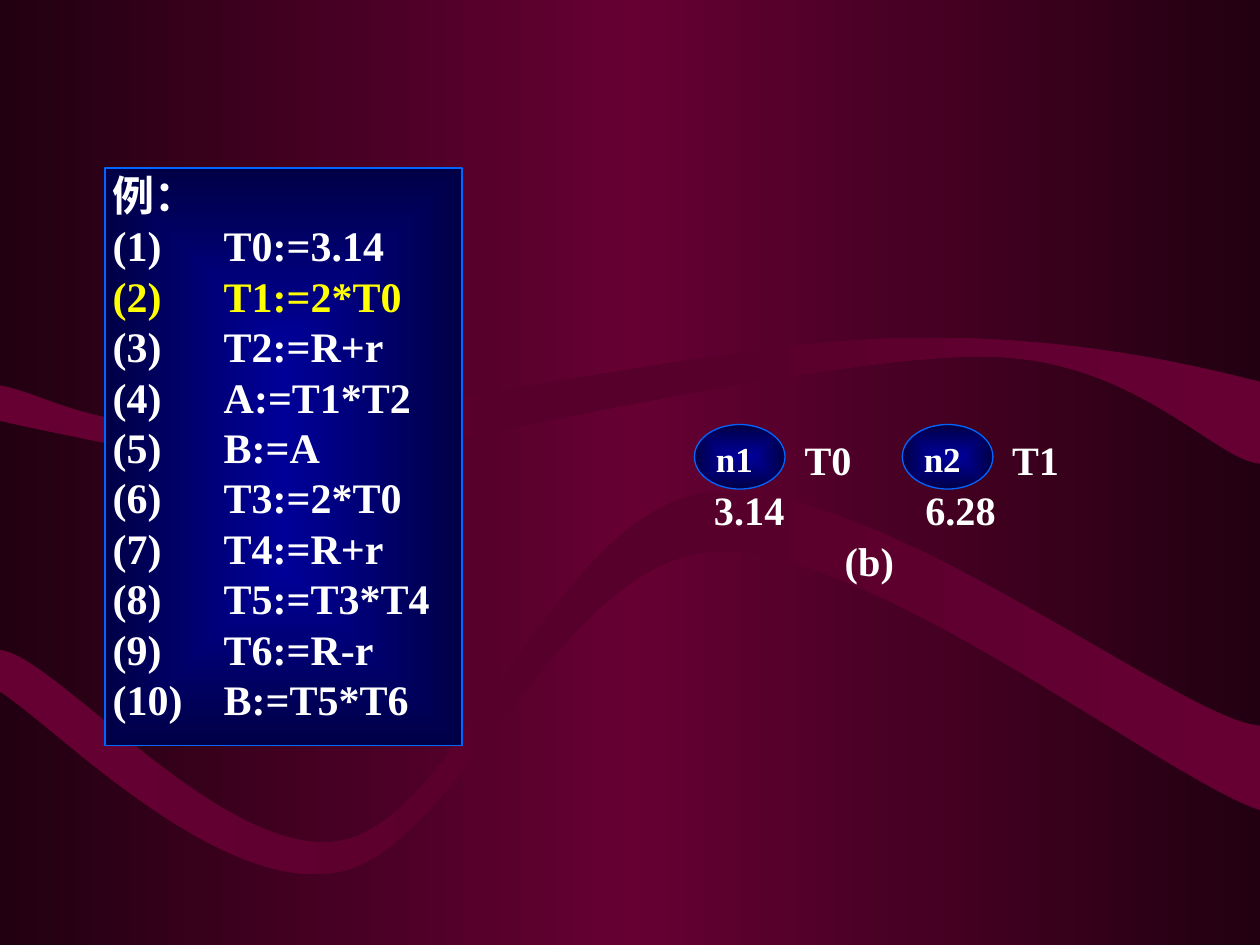
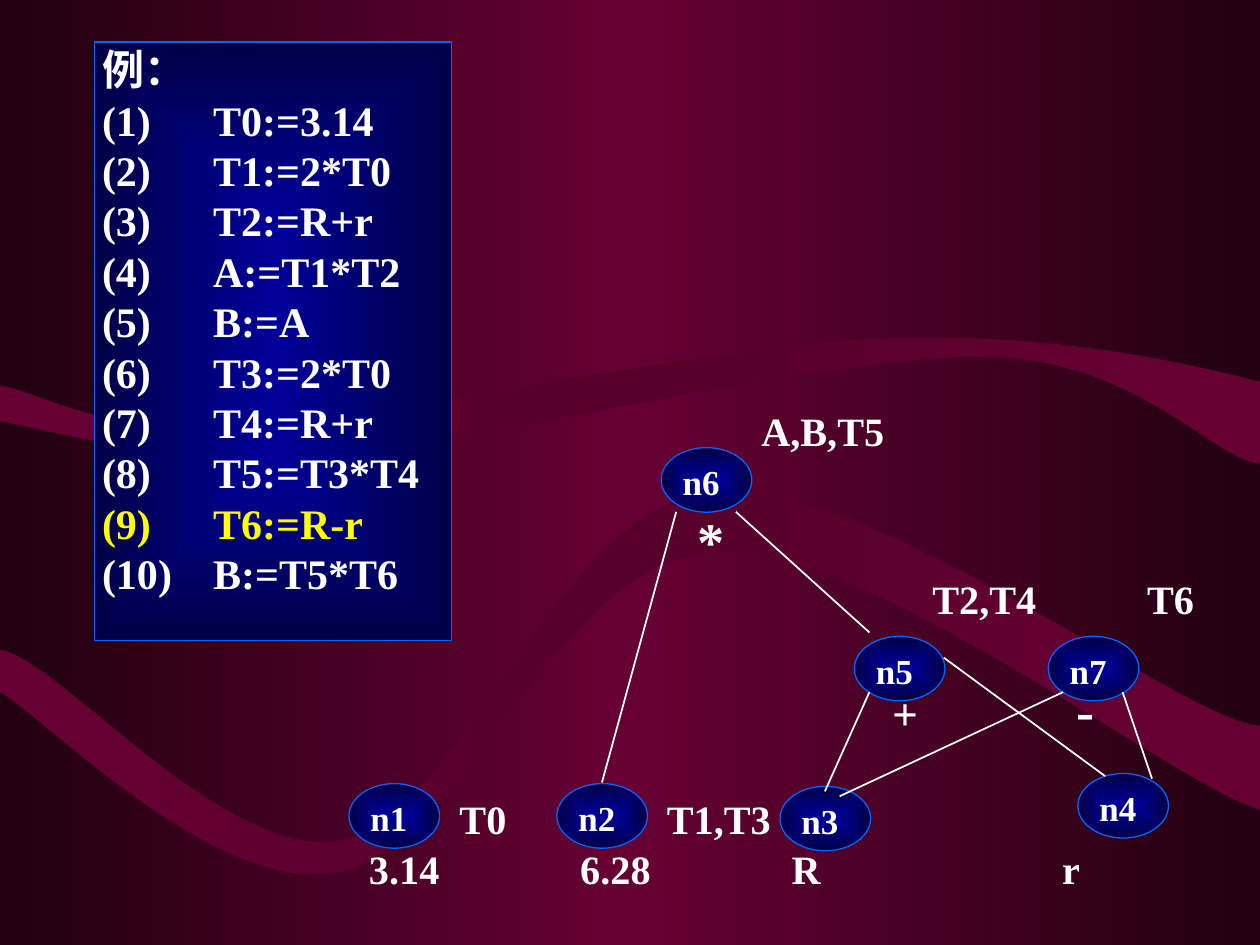
from lxml import etree
from pptx import Presentation
from pptx.dml.color import RGBColor
from pptx.enum.shapes import MSO_CONNECTOR, MSO_SHAPE
from pptx.enum.text import MSO_ANCHOR, PP_ALIGN
from pptx.oxml.ns import qn
from pptx.util import Pt

LINE, OVAL, RECT = MSO_CONNECTOR.STRAIGHT, MSO_SHAPE.OVAL, MSO_SHAPE.RECTANGLE
TOP, LEFT = MSO_ANCHOR.TOP, PP_ALIGN.LEFT

COLORS = {"white": "FFFFFF", "yellow": "FFFF00", "border": "0066FF",
          "blue": "000099", "navy": "000046", "night": "220011",
          "wine": "660033", "dark_wine": "56002B"}
FONT = "Times New Roman"
NODE_W, NODE_H = 51.8, 36.9

WAVES = [
    [[(0, 220.3)], [(0, 240.5)],
     [(26.6, 247), (126, 266.4), (159.8, 270)],
     [(193.7, 273.6), (136.8, 272.9), (203, 262.1)],
     [(270, 250.6), (475.2, 203), (561.6, 203.8)],
     [(648, 203.8), (693.4, 262.8), (720, 265)],
     [(720, 218.2)],
     [(684, 208.8), (601.9, 189.4), (504.7, 193.7)],
     [(407.5, 197.3), (221, 239), (136.8, 243.4)],
     [(52.6, 247.7), (28.8, 225.4), (0, 220.3)]],
    [[(0, 371.5)], [(0, 395.3)],
     [(32.4, 416.2), (125.3, 511.9), (193.7, 498.2)],
     [(261.4, 485.3), (319, 321.1), (406.8, 315.4)],
     [(494.6, 308.9), (667.4, 446.4), (720, 463)],
     [(720, 414.7)],
     [(675.4, 411.8), (497.5, 271.4), (404.6, 281.5)],
     [(317.5, 292.3), (264.2, 465.1), (196.6, 480.2)],
     [(128.9, 494.6), (32.4, 374.4), (0, 371.5)]],
]

STATEMENTS = ["T0:=3.14", "T1:=2*T0", "T2:=R+r", "A:=T1*T2", "B:=A",
              "T3:=2*T0", "T4:=R+r", "T5:=T3*T4", "T6:=R-r", "B:=T5*T6"]


class Deck:
    """Hold the shared style and the current slide."""

    def __init__(self):
        """Start the presentation with its background and waves."""
        self.prs = Presentation()
        self.prs.slide_width, self.prs.slide_height = Pt(720), Pt(540)
        master = self.prs.slide_master
        self.gradient(master.background.fill, master.element, ["night", "wine", "night"])
        self.add_slide()
        for i, segments in enumerate(WAVES):
            self.wave(segments, i)

    def add_slide(self):
        """Make a new blank slide current."""
        self.s = self.prs.slides.add_slide(self.prs.slide_layouts[6])

    def gradient(self, fill, element, names, centred=False):
        """Fill with evenly spaced stops, across or from the centre."""
        fill.gradient()
        grad = element.find(".//" + qn("a:gradFill"))
        for child in list(grad):
            grad.remove(child)
        stops = etree.SubElement(grad, qn("a:gsLst"))
        for i, name in enumerate(names):
            stop = etree.SubElement(stops, qn("a:gs"), pos=str(100000 * i // (len(names) - 1)))
            etree.SubElement(stop, qn("a:srgbClr"), val=COLORS[name])
        if centred:
            shade = etree.SubElement(grad, qn("a:path"), path="rect")
            etree.SubElement(shade, qn("a:fillToRect"), l="50000", t="50000",
                             r="50000", b="50000")
        else:
            etree.SubElement(grad, qn("a:lin"), ang="0", scaled="0")

    def wave(self, segments, i):
        """Draw a curved wave and place it behind everything on the master."""
        points = [(Pt(x), Pt(y)) for segment in segments for x, y in segment]
        builder = self.s.shapes.build_freeform(*points[0])
        builder.add_line_segments(points[1:])
        sp = builder.convert_to_shape()
        lines = iter(sp.element.findall(".//" + qn("a:lnTo")))
        for segment in segments[1:]:
            group = [next(lines) for _ in segment]
            if len(group) == 3:
                curve = etree.Element(qn("a:cubicBezTo"))
                group[0].addprevious(curve)
                for line in group:
                    curve.append(line[0])
                    line.getparent().remove(line)
        sp.shadow.inherit = False
        sp.line.fill.background()
        self.gradient(sp.fill, sp.element, ["wine", "dark_wine", "wine"])
        sp.element.find(".//" + qn("p:cNvPr")).set("id", str(20 + i))
        self.prs.slide_master.shapes.element.insert(2 + i, sp.element)

    def run(self, p, text, size, color="white"):
        """Add one bold run."""
        r = p.add_run()
        r.text = text
        r.font.name, r.font.size, r.font.bold = FONT, Pt(size), True
        r.font.color.rgb = RGBColor.from_string(COLORS[color])

    def tabs(self, p, stops):
        """Give a paragraph left tab stops."""
        tab_list = etree.SubElement(p._p.get_or_add_pPr(), qn("a:tabLst"))
        for stop in stops:
            etree.SubElement(tab_list, qn("a:tab"), pos=str(Pt(stop)), algn="l")

    def frame(self, sp, insets):
        """Set up a wrapped, top left text frame."""
        tf = sp.text_frame
        tf.word_wrap, tf.vertical_anchor = True, TOP
        tf.margin_left, tf.margin_top, tf.margin_right, tf.margin_bottom = map(Pt, insets)
        tf.paragraphs[0].alignment = LEFT
        return tf

    def textbox(self, x, y, w, size):
        """Add a one-line text box and return its paragraph."""
        sp = self.s.shapes.add_textbox(Pt(x), Pt(y), Pt(w), Pt(1.2 * size))
        return self.frame(sp, (0, 0, 0, 0)).paragraphs[0]

    def sign(self, x, y, text, size):
        """Place an operator below its node."""
        self.run(self.textbox(x, y, size, size), text, size)

    def row(self, x, y, w, labels):
        """Place labels along one line at tab stops."""
        p = self.textbox(x, y, w, 23)
        self.tabs(p, labels)
        self.run(p, "".join("\t" + text for text in labels.values()), 23)

    def panel(self, kind, x, y, w, h):
        """Draw a blue shape that glows from its centre."""
        sp = self.s.shapes.add_shape(kind, Pt(x), Pt(y), Pt(w), Pt(h))
        sp.shadow.inherit = False
        self.gradient(sp.fill, sp.element, ["blue", "navy"], centred=True)
        sp.line.color.rgb = RGBColor.from_string(COLORS["border"])
        sp.line.width = Pt(0.75)
        return sp

    def node(self, x, y, name):
        """Draw a named graph node."""
        sp = self.panel(OVAL, x, y, NODE_W, NODE_H)
        self.run(self.frame(sp, (4.7, 2, 0, 0)).paragraphs[0], name, 20)

    def edge(self, x1, y1, x2, y2):
        """Join two points with a white line."""
        line = self.s.shapes.add_connector(LINE, Pt(x1), Pt(y1), Pt(x2), Pt(y2))
        line.line.color.rgb = RGBColor.from_string(COLORS["white"])
        line.line.width = Pt(1)
        etree.SubElement(line.element.spPr, qn("a:effectLst"))

    def code(self, x, y, h, current):
        """List the statements and highlight the current one."""
        tf = self.frame(self.panel(RECT, x, y, 204, h), (4.3, 0.9, 4.3, 0.9))
        rows = ["例："] + [f"({i})\t{text}" for i, text in enumerate(STATEMENTS, 1)]
        for i, row in enumerate(rows):
            p = tf.add_paragraph() if i else tf.paragraphs[0]
            p.alignment, p.line_spacing = LEFT, Pt(28.8)
            if i:
                self.tabs(p, [63.5])
            self.run(p, row, 24, "yellow" if i == current else "white")


def main():
    """Build both steps of the example."""
    deck = Deck()
    for y, w, labels in [(248.6, 313.2, {166.75: "T0", 285.3: "T1"}),
                         (277.4, 276.5, {115: "3.14", 235.75: "6.28"}),
                         (306.2, 218.2, {189.75: "(b)"})]:
        deck.row(293, y, w, labels)
    for x, name in [(515.6, "n2"), (396.8, "n1")]:
        deck.node(x, 242.6, name)
    deck.code(60, 96, 330, 2)

    deck.add_slide()
    for y, w, labels in [(232, 410.4, {339.25: "A,B,T5"}),
                         (328.4, 587.5, {437: "T2,T4", 559.7: "T6"}),
                         (453.8, 345.6, {166.75: "T0", 285.3: "T1,T3"}),
                         (482.4, 522, {115: "3.14", 235.75: "6.28", 356.5: "R", 511.1: "r"})]:
        deck.row(95.8, y, w, labels)
    for x, y, text, size in [(398.7, 290, "*", 31), (509.8, 391.7, "+", 26),
                             (615.4, 386.6, "-", 31)]:
        deck.sign(x, y, text, size)
    for x, y, name in [(318.2, 447.8, "n2"), (488.2, 363.6, "n5"), (445.7, 449.3, "n3"),
                       (599, 363.6, "n7"), (199.4, 447.8, "n1"), (615.9, 442, "n4"),
                       (377.8, 255.8, "n6")]:
        deck.node(x, y, name)
    for ends in [(539.3, 375.8, 631.5, 443.5), (420.5, 292.5, 496.8, 361.4),
                 (386.4, 292.5, 344, 447.1), (496.8, 395.5, 471.4, 452.2),
                 (607.5, 395.5, 479.8, 455), (641.5, 395.5, 658.3, 445)]:
        deck.edge(*ends)
    deck.code(54, 24, 342, 9)
    deck.prs.save("out.pptx")


if __name__ == "__main__":
    main()
